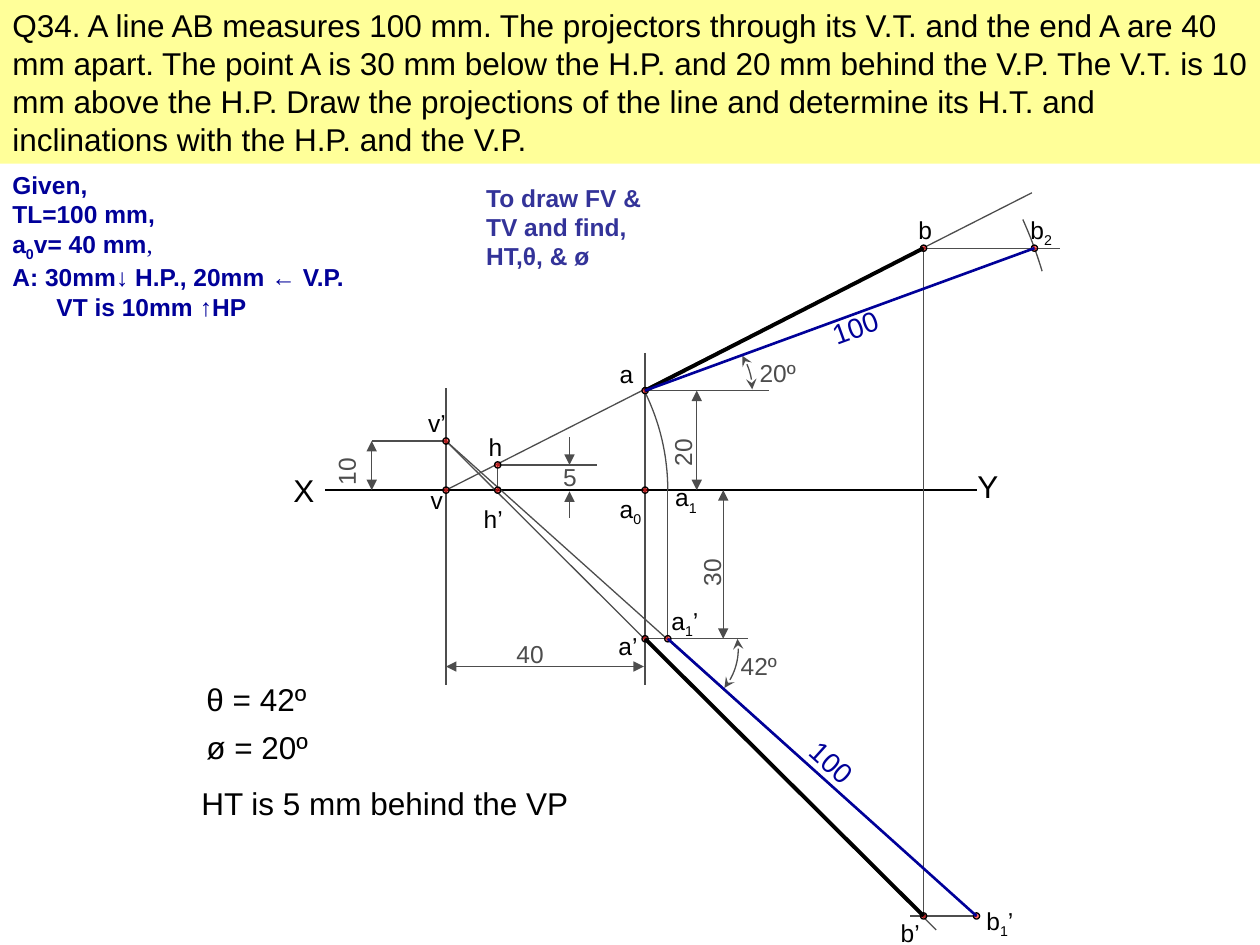
from math import cos, radians, sin

from lxml.etree import SubElement
from pptx import Presentation
from pptx.dml.color import RGBColor
from pptx.enum.shapes import MSO_CONNECTOR, MSO_SHAPE
from pptx.enum.text import MSO_ANCHOR, MSO_AUTO_SIZE, PP_ALIGN
from pptx.oxml.ns import qn
from pptx.util import Inches, Pt

COLUMNS, ROWS = 100, 75
CELL = Inches(10) / COLUMNS
BLACK, GREY, BLUE, VIOLET, YELLOW, RED = "000000", "4D4D4D", "000099", "333399", "FFFF99", "FF0000"
DOT_SIZE = 0.5

QUESTION = (
    "Q34. A line AB measures 100 mm. The projectors through its V.T. and the end A are 40 mm apart. "
    "The point A is 30 mm below the H.P. and 20 mm behind the V.P. The V.T. is 10 mm above the H.P. "
    "Draw the projections of the line and determine its H.T. and inclinations with the H.P. and the V.P."
)
SUBSCRIPT, PLAIN = {"baseline": "-25000"}, {"bold": False}
GIVEN = [
    ["Given,"],
    ["TL=100 mm,"],
    ["a", ("0", SUBSCRIPT), "v= 40 mm", (",", {"bold": False, "name": "Times New Roman"})],
    ["A: 30mm", ("↓", PLAIN), " H.P., 20mm ", ("← ", PLAIN), "V.P."],
    ["VT is 10mm ", ("↑", PLAIN), "HP"],
]

POINTS = {
    "v": (35.4, 38.9), "a0": (51.2, 38.9), "v’": (35.4, 35), "a’": (51.2, 50.7),
    "a": (51.2, 31), "a1’": (53, 50.7), "b1’": (77.5, 72.7), "b’": (73.3, 72.7),
    "b": (73.3, 19.7), "b2": (82.1, 19.7), "h’": (39.5, 38.9), "h": (39.5, 36.9),
}
A1 = (53, 38.9)

CONSTRUCTION_LINES = [
    ((35.4, 30.8), (35.4, 54.4)),
    ((51.2, 28), (51.2, 54.4)),
    ((29.5, 35), POINTS["v’"]),
    (POINTS["a’"], (59.4, 50.7)),
    (POINTS["a"], (61, 31)),
    (POINTS["v"], (81.9, 15.3)),
    (POINTS["v’"], (74.3, 73.8)),
    (A1, POINTS["a1’"]),
    (POINTS["v’"], (69.9, 65.9)),
    (POINTS["b1’"], (72.2, 72.7)),
    (POINTS["b"], POINTS["b’"]),
    (POINTS["b"], (84.1, 19.7)),
    (POINTS["h’"], POINTS["h"]),
    (POINTS["h"], (47.4, 36.9)),
]
DIMENSION_LINES = [
    ((35.4, 52.9), (51.1, 52.9), "triangle"),
    ((29.5, 38.9), (29.5, 35), "triangle"),
    ((57.4, 38.9), (57.4, 50.7), "triangle"),
    ((55.3, 38.9), (55.3, 31), "triangle"),
    ((45.2, 34.7), (45.2, 36.9), None),
    ((45.2, 41.1), (45.2, 39), None),
]
ARCS = [
    (POINTS["v"], 17.6, -26.6, 0, None),
    ((53.7, 51.5), 4.9, -9.3, 39.2, "stealth"),
    ((51.1, 31), 33, -24.3, -16.7, None),
    ((54.8, 30.9), 4.9, -33, 0, "stealth"),
]
POINT_LABELS = [
    (33.2, 38, "v"), (33, 31.9, "v’"), (48.1, 49.6, "a’"), (48.2, 28, "a"),
    (70.5, 72.4, "b’"), (71.9, 16.6, "b"), (37.4, 39.5, "h’"), (37.8, 33.8, "h"),
    (48.2, 38.7, "a", "0"), (52.6, 37.8, "a", "1"), (80.8, 16.6, "b", "2"),
    (52.3, 47.6, "a", "1", "’"), (77.3, 71.4, "b", "1", "’"),
]
DIMENSION_LABELS = [
    (40, 50.2, 4.5, "40", 0), (25.2, 35.6, 4.5, "10", 270), (54.2, 43.6, 4.5, "30", 270),
    (51.9, 34.1, 4.5, "20", 270), (43.7, 36.2, 4.5, "5", 0),
    (57.8, 51.2, 5.5, "42º", 0), (59.3, 27.9, 5.5, "20º", 0),
]
STATEMENTS = [
    (22.3, 36.9, 4.5, "X"), (76.6, 36.6, 5.3, "Y"), (15.4, 53.5, 11.1, "θ = 42º"),
    (15.4, 57.3, 11.6, "ø = 20º"), (15, 61.7, 32.4, "HT is 5 mm behind the VP"),
]


def cells(*lengths):
    return [round(length * CELL) for length in lengths]


def color(value):
    return RGBColor.from_string(value)


def write_text(shape, paragraphs, size=14, fill=BLACK, bold=False):
    frame = shape.text_frame
    frame.word_wrap = True
    frame.auto_size = MSO_AUTO_SIZE.SHAPE_TO_FIT_TEXT
    frame.vertical_anchor = MSO_ANCHOR.TOP
    for index, pieces in enumerate(paragraphs):
        paragraph = frame.paragraphs[0] if index == 0 else frame.add_paragraph()
        paragraph.alignment = PP_ALIGN.LEFT
        for piece in pieces:
            text, changes = (piece, {}) if isinstance(piece, str) else piece
            run = paragraph.add_run()
            run.text = text
            run.font.size = Pt(size)
            run.font.name = changes.get("name", "Arial")
            run.font.bold = changes.get("bold", bold)
            run.font.color.rgb = color(fill)
            if "baseline" in changes:
                run.font._element.set("baseline", changes["baseline"])


def add_label(slide, box, *paragraphs, rotation=0, **text_format):
    shape = slide.shapes.add_textbox(*cells(*box))
    shape.rotation = rotation
    write_text(shape, paragraphs, **text_format)
    return shape


def style_line(shape, fill, width, head=None, tail=None):
    shape.line.color.rgb = color(fill)
    shape.line.width = Pt(width)
    outline = shape._element.spPr.find(qn("a:ln"))
    for tag, kind in (("a:headEnd", head), ("a:tailEnd", tail)):
        if kind:
            SubElement(outline, qn(tag), type=kind)


def add_line(slide, start, end, fill=GREY, width=0.75, head=None, tail=None):
    line = slide.shapes.add_connector(MSO_CONNECTOR.STRAIGHT, *cells(*start, *end))
    style_line(line, fill, width, head, tail)
    SubElement(line._element.spPr, qn("a:effectLst"))


def add_arc(slide, center, radius, first, last, arrow, steps=16):
    angles = [radians(first + (last - first) * step / steps) for step in range(steps + 1)]
    points = [
        cells(center[0] + radius * cos(angle), center[1] + radius * sin(angle)) for angle in angles
    ]
    builder = slide.shapes.build_freeform(*points[0])
    builder.add_line_segments(points[1:], close=False)
    arc = builder.convert_to_shape()
    arc.shadow.inherit = False
    arc.fill.background()
    style_line(arc, GREY, 0.75, arrow, arrow)


def add_dot(slide, center):
    corner = [position - DOT_SIZE / 2 for position in center]
    dot = slide.shapes.add_shape(MSO_SHAPE.OVAL, *cells(*corner, DOT_SIZE, DOT_SIZE))
    dot.shadow.inherit = False
    dot.fill.solid()
    dot.fill.fore_color.rgb = color(RED)
    SubElement(dot._element.spPr.find(f".//{qn('a:srgbClr')}"), qn("a:alpha"), val="56000")
    style_line(dot, BLACK, 0.75)


def add_question(slide):
    banner = slide.shapes.add_shape(MSO_SHAPE.RECTANGLE, *cells(0, 0, COLUMNS, 13))
    banner.shadow.inherit = False
    banner.fill.solid()
    banner.fill.fore_color.rgb = color(YELLOW)
    banner.line.fill.background()
    write_text(banner, [[QUESTION]], size=18)


def add_drawing(slide):
    add_line(slide, (25.8, 38.9), (77.5, 38.9), BLACK)
    for start, end in CONSTRUCTION_LINES:
        add_line(slide, start, end)
    for start, end, head in DIMENSION_LINES:
        add_line(slide, start, end, head=head, tail="triangle")
    for arc in ARCS:
        add_arc(slide, *arc)
    for center in POINTS.values():
        add_dot(slide, center)
    for start, end, fill, width in (
        ("a’", "b’", BLACK, 2.25), ("a", "b", BLACK, 2.25),
        ("a1’", "b1’", BLUE, 1.5), ("a", "b2", BLUE, 1.5),
    ):
        add_line(slide, POINTS[start], POINTS[end], fill, width)


def add_labels(slide):
    for left, top, letter, *rest in POINT_LABELS:
        pieces = [letter] + [(rest[0], SUBSCRIPT)] + rest[1:] if rest else [letter]
        add_label(slide, (left, top, 4.5, 3.3), pieces)
    for left, top, width, text, rotation in DIMENSION_LABELS:
        add_label(slide, (left, top, width, 3.3), [text], fill=GREY, rotation=rotation)
    for left, top, rotation in ((63, 59.1, 42), (65, 23.9, 340)):
        add_label(slide, (left, top, 7, 3.7), ["100"], size=16, fill=BLUE, rotation=rotation)
    for left, top, width, text in STATEMENTS:
        add_label(slide, (left, top, width, 4), [text], size=18)


def main():
    presentation = Presentation()
    presentation.slide_width, presentation.slide_height = cells(COLUMNS, ROWS)
    slide = presentation.slides.add_slide(presentation.slide_layouts[6])
    add_question(slide)
    given = add_label(slide, (0, 13, 29.7, 12.6), *GIVEN, fill=BLUE, bold=True)
    indented = given.text_frame.paragraphs[-1]
    indented._p.get_or_add_pPr().set("marL", str(Inches(0.35)))
    add_label(slide, (37.6, 14, 15.4, 8), ["To draw FV & TV and find, HT,θ, & ø"], fill=VIOLET, bold=True)
    add_drawing(slide)
    add_labels(slide)
    presentation.save("out.pptx")


if __name__ == "__main__":
    main()
